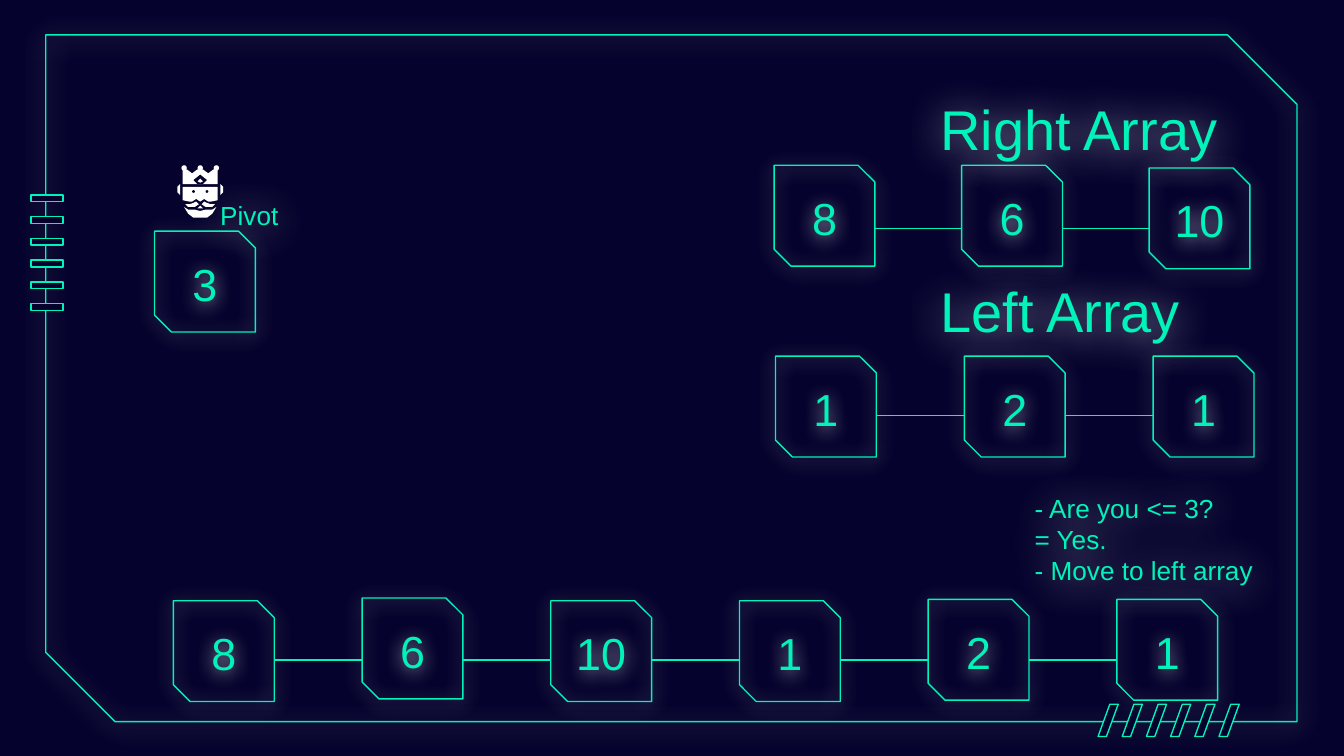
from lxml import etree
from pptx import Presentation
from pptx.dml.color import RGBColor
from pptx.enum.shapes import MSO_CONNECTOR, MSO_SHAPE
from pptx.enum.text import MSO_ANCHOR, PP_ALIGN
from pptx.oxml.ns import qn
from pptx.util import Inches, Pt

SNIPPED = MSO_SHAPE.SNIP_2_DIAG_RECTANGLE
RECTANGLE = MSO_SHAPE.RECTANGLE
PARALLELOGRAM = MSO_SHAPE.PARALLELOGRAM
OVAL = MSO_SHAPE.OVAL
STRAIGHT = MSO_CONNECTOR.STRAIGHT
BOTTOM = MSO_ANCHOR.BOTTOM
LEFT, CENTER = PP_ALIGN.LEFT, PP_ALIGN.CENTER

COLORS = {"navy": "05022D", "mint": "00F3B8", "white": "FFFFFF"}
FONT = "Arial"
WIDTH = 10
HEIGHT = WIDTH * 9 / 16
NODE = 0.75
FRAME_BLUR, NODE_BLUR, LABEL_BLUR = 13.5, 10.1, 22

FRAME = (0.34, 0.26, 9.31, 5.11)
TICKS = 6
PIVOT = ("3", 1.15, 1.72)

ROWS = [
    {"first": 1.29, "last": 8.31, "line": 4.91,
     "nodes": [("8", 4.47), ("6", 4.45), ("10", 4.47), ("1", 4.47), ("2", 4.46), ("1", 4.46)]},
    {"first": 5.76, "last": 8.55, "line": 1.7, "nodes": [("8", 1.23), ("6", 1.23), ("10", 1.25)]},
    {"first": 5.77, "last": 8.58, "line": 3.09, "nodes": [("1", 2.65), ("2", 2.65), ("1", 2.65)]},
]

LABELS = [
    (["Right Array"], (6.9, 0.6, 2.43, 0.7), 30),
    (["- Are you <= 3?", "= Yes.", "- Move to left array"], (7.6, 3.64, 2.27, 0.82), 14),
    (["Left Array"], (6.9, 1.96, 2.43, 0.7), 30),
    (["Pivot"], (1.54, 1.45, 0.75, 0.37), 14),
]

ICON_AXIS = 149
ICON_HALVES = [
    ("white", [(149, 126), (147, 126), (143, 129), (139, 126), (136, 126), (136, 137), (149, 137)]),
    ("navy", [(149, 130), (144, 134.5), (147, 137), (149, 137)]),
    ("white", [(149, 133), (147, 135), (149, 136)]),
    ("white", [(149, 139), (136.5, 139), (136.5, 149), (141, 150), (143, 150), (146, 148), (149, 150)]),
    ("white", [(149, 153), (147, 155), (149, 155)]),
    ("white", [(149, 157), (145, 156), (143, 156), (140, 155.5), (137, 154), (140, 159),
               (144, 161.5), (149, 162)]),
]
ICON_PAIRS = [
    [(134, 137), (132.5, 139), (132, 141), (132.5, 143), (134, 145)],
    [(146, 150), (144, 151), (141, 152), (138, 152), (140, 153.5), (143, 154), (145, 153.5), (148, 152)],
]
ICON_DOTS = [("white", 137, 125, 4), ("white", 149, 125, 4), ("white", 161, 125, 4),
             ("navy", 144, 142.5, 2), ("navy", 154, 142.5, 2)]


def color(name):
    return RGBColor.from_string(COLORS[name])


def box(*lengths):
    return [Inches(length) for length in lengths]


def spread(first, last, count):
    return [first + index * (last - first) / (count - 1) for index in range(count)]


def add_effects(shape, blur=None):
    properties = shape._element.spPr
    for old in properties.findall(qn("a:effectLst")):
        properties.remove(old)
    effects = etree.SubElement(properties, qn("a:effectLst"))
    if blur:
        shadow = etree.SubElement(effects, qn("a:outerShdw"), blurRad=str(Pt(blur)),
                                  dist=str(Pt(1.5)), dir="5400000", algn="bl", rotWithShape="0")
        tone = etree.SubElement(shadow, qn("a:srgbClr"), val=COLORS["white"])
        etree.SubElement(tone, qn("a:alpha"), val="70000")


def add_outlined(slide, kind, bounds, adjustments=(), fill=None, blur=None):
    shape = slide.shapes.add_shape(kind, *box(*bounds))
    for index, value in enumerate(adjustments):
        shape.adjustments[index] = value
    if fill:
        shape.fill.solid()
        shape.fill.fore_color.rgb = color(fill)
    else:
        shape.fill.background()
    shape.line.color.rgb = color("mint")
    shape.line.width = Pt(0.75)
    add_effects(shape, blur)
    return shape


def write(shape, lines, size, alignment):
    frame = shape.text_frame
    frame.word_wrap = True
    frame.vertical_anchor = BOTTOM
    frame.margin_left = frame.margin_right = Inches(0.1)
    frame.margin_top = frame.margin_bottom = Inches(0.1)
    for index, line in enumerate(lines):
        paragraph = frame.add_paragraph() if index else frame.paragraphs[0]
        paragraph.alignment = alignment
        run = paragraph.add_run()
        run.text = line
        run.font.name = FONT
        run.font.size = Pt(size)
        run.font.color.rgb = color("mint")


def add_node(slide, text, left, top):
    node = add_outlined(slide, SNIPPED, (left, top, NODE, NODE), (0, 0.167), blur=NODE_BLUR)
    write(node, [text], 24, CENTER)


def add_row(slide, row):
    lefts = spread(row["first"], row["last"], len(row["nodes"]))
    for start, end in zip(lefts, lefts[1:]):
        link = slide.shapes.add_connector(
            STRAIGHT, *box(end, row["line"], start + NODE, row["line"]))
        link.line.color.rgb = color("mint")
        link.line.width = Pt(0.75)
        add_effects(link)
    for left, (text, top) in zip(lefts, row["nodes"]):
        add_node(slide, text, left, top)


def paint(shape, name):
    shape.fill.solid()
    shape.fill.fore_color.rgb = color(name)
    shape.line.fill.background()
    shape.shadow.inherit = False


def mirror(points):
    return [(2 * ICON_AXIS - x, y) for x, y in reversed(points)]


def add_king(slide):
    group = slide.shapes.add_group_shape()
    outlines = [(name, half + mirror(half)) for name, half in ICON_HALVES]
    for points in ICON_PAIRS:
        outlines += [("white", points), ("white", mirror(points))]
    for name, points in outlines:
        builder = group.shapes.build_freeform(*points[0], scale=Inches(0.01))
        builder.add_line_segments(points[1:], close=True)
        paint(builder.convert_to_shape(), name)
    for name, x, y, size in ICON_DOTS:
        bounds = [value / 100 for value in (x - size / 2, y - size / 2, size, size)]
        paint(group.shapes.add_shape(OVAL, *box(*bounds)), name)


def main():
    presentation = Presentation()
    presentation.slide_width, presentation.slide_height = box(WIDTH, HEIGHT)
    slide = presentation.slides.add_slide(presentation.slide_layouts[6])
    slide.background.fill.solid()
    slide.background.fill.fore_color.rgb = color("navy")

    add_outlined(slide, SNIPPED, FRAME, (0, 0.101), blur=FRAME_BLUR)
    for top in spread(1.45, 2.26, TICKS):
        add_outlined(slide, RECTANGLE, (0.23, top, 0.24, 0.05), fill="navy")
    for left in spread(8.17, 9.07, TICKS):
        add_outlined(slide, PARALLELOGRAM, (left, 5.24, 0.15, 0.24), (0.585,), fill="navy")

    add_node(slide, *PIVOT)
    for row in ROWS:
        add_row(slide, row)
    add_king(slide)
    for lines, bounds, size in LABELS:
        label = slide.shapes.add_textbox(*box(*bounds))
        write(label, lines, size, LEFT)
        add_effects(label, LABEL_BLUR)

    presentation.save("out.pptx")


if __name__ == "__main__":
    main()
